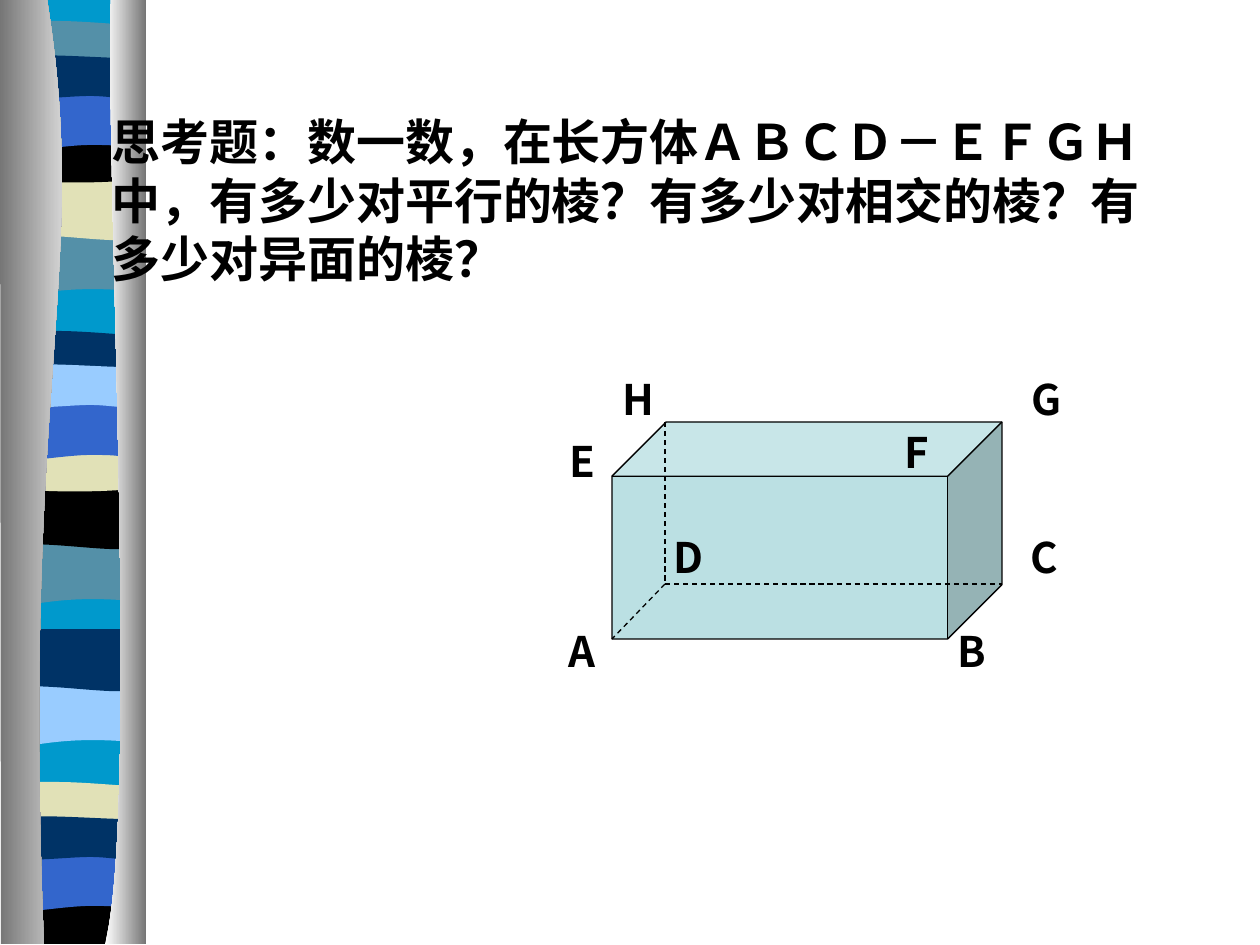
from lxml import etree
from pptx import Presentation
from pptx.dml.color import RGBColor
from pptx.enum.dml import MSO_LINE
from pptx.enum.shapes import MSO_CONNECTOR, MSO_SHAPE
from pptx.enum.text import MSO_ANCHOR, MSO_AUTO_SIZE, PP_ALIGN
from pptx.oxml.ns import qn
from pptx.util import Pt

PX = 914400 // 126
WIDTH, HEIGHT = 1260, 945
STRAIGHT, CUBE = MSO_CONNECTOR.STRAIGHT, MSO_SHAPE.CUBE
DASH = MSO_LINE.DASH
TOP, MIDDLE = MSO_ANCHOR.TOP, MSO_ANCHOR.MIDDLE
LEFT = PP_ALIGN.LEFT
NO_FIT = MSO_AUTO_SIZE.NONE

SKY, TEAL, SAND, BLACK = "0099CC", "5490A8", "E1E1B7", "000000"
BLUE, NAVY, PALE = "3366CC", "003366", "99CCFF"
WHITE, GREY, CUBE_FILL = "FFFFFF", "767676", "BBE0E3"
CJK_FONT, LATIN_FONT = "Noto Sans CJK SC", "Times New Roman"

# Band outlines: pairs are line ends, groups of six are Bézier curves
BAND_LEFT = 6
BANDS = {
    "slant": [(137, 0), (137, 59), (43, 49, 23, 69, 0, 59), (0, 0)],
    "wave": [(137, 0), (137, 59), (114, 69, 42, 52, 0, 59), (0, 0)],
    "thin": [(137, 6), (137, 36), (114, 42, 23, 42, 0, 36), (0, 6),
             (9, 0, 30, 1, 53, 1), (76, 1, 120, 5, 137, 6)],
    "bowl": [(137, 0), (137, 42), (114, 48, 24, 48, 0, 42), (0, 0),
             (83, 6, 108, 0, 137, 0)],
    "arch": [(137, 0), (137, 59), (116, 52, 107, 52, 84, 52),
             (62, 52, 20, 59, 0, 59), (0, 0)],
    "wide": [(137, 6), (137, 44), (128, 50, 107, 44, 84, 44),
             (62, 44, 15, 50, 0, 44), (0, 6), (20, 0, 93, 6, 115, 6),
             (138, 6, 133, 6, 137, 6)],
    "base": [(137, 0), (137, 47), (2, 47), (0, 0), (83, 6, 108, 0, 137, 0)],
    "full": [(137, 0), (137, 942), (0, 942), (0, 0)],
}
RIBBON = [
    ("full", -1, SKY),
    ("slant", 233, TEAL), ("wave", 178, SAND), ("thin", 20, TEAL),
    ("bowl", 136, BLACK), ("arch", 93, BLUE), ("wide", 52, NAVY),
    ("slant", 543, TEAL), ("wave", 487, BLACK), ("thin", 330, NAVY),
    ("bowl", 445, SAND), ("arch", 403, BLUE), ("wide", 361, PALE),
    ("slant", 684, PALE), ("wave", 629, NAVY), ("thin", 781, SAND),
    ("base", 897, BLACK), ("arch", 854, BLUE), ("wide", 813, NAVY),
]
LEFT_PILLAR = [(47, -1), (91, 272, 21, 373, 44, 944), (1, 944), (0, -1)]
RIGHT_PILLAR = [(111, -1), (105, 158, 140, 814, 105, 944), (146, 944), (146, 0)]

# Box edges and the places of its corner letters
BOX_LEFT, BOX_TOP, BOX_WIDTH, BOX_HEIGHT = 612, 422, 390, 217
HIDDEN_CORNER = (665, 584)
VERTICES = {"A": (556, 619), "C": (1018, 525), "B": (945, 619),
            "D": (661, 525), "F": (892, 420), "E": (557, 429),
            "G": (1019, 367), "H": (610, 367)}


def color(value):
    return RGBColor.from_string(value)


def write_text(shape, text, size=24, font=CJK_FONT, fill=BLACK, bold=True, anchor=TOP):
    frame = shape.text_frame
    frame.word_wrap = True
    frame.auto_size = NO_FIT
    frame.vertical_anchor = anchor
    paragraph = frame.paragraphs[0]
    paragraph.alignment = LEFT
    run = paragraph.add_run()
    run.text = text
    run.font.size = Pt(size)
    run.font.name = font
    run.font.bold = bold
    run.font.color.rgb = color(fill)
    east_asian = etree.SubElement(run.font._element, qn("a:ea"))
    east_asian.set("typeface", CJK_FONT)


def bend_segments(shape, outline):
    """Join the three line ends of each Bézier group into one curve."""
    lines = iter(list(shape._element.iter(qn("a:lnTo"))))
    for segment in outline[1:]:
        line = next(lines)
        if len(segment) == 6:
            line.tag = qn("a:cubicBezTo")
            for _ in range(2):
                control = next(lines)
                line.append(control[0])
                control.getparent().remove(control)


class Painter:
    def __init__(self, slide):
        self.slide = slide
        self.line_width = Pt(0.75)

    def freeform(self, outline, fill, left=0, top=0):
        points = [((segment[i] + left) * PX, (segment[i + 1] + top) * PX)
                  for segment in outline for i in range(0, len(segment), 2)]
        builder = self.slide.shapes.build_freeform(*points[0])
        builder.add_line_segments(points[1:], close=True)
        shape = builder.convert_to_shape()
        bend_segments(shape, outline)
        shape.shadow.inherit = False
        shape.line.fill.background()
        if isinstance(fill, str):
            shape.fill.solid()
            shape.fill.fore_color.rgb = color(fill)
        else:
            shape.fill.gradient()
            shape.fill.gradient_angle = 0
            for stop, value in zip(shape.fill.gradient_stops, fill):
                stop.color.rgb = color(value)

    def cube(self, left, top, width, height, fill):
        shape = self.slide.shapes.add_shape(
            CUBE, left * PX, top * PX, width * PX, height * PX)
        shape.adjustments[0] = 0.25
        shape.shadow.inherit = False
        shape.fill.solid()
        shape.fill.fore_color.rgb = color(fill)
        shape.line.color.rgb = color(BLACK)
        shape.line.width = self.line_width

    def dashed_line(self, start, end):
        line = self.slide.shapes.add_connector(
            STRAIGHT, *(value * PX for value in (*start, *end)))
        line.line.color.rgb = color(BLACK)
        line.line.width = self.line_width
        line.line.dash_style = DASH
        etree.SubElement(line._element.spPr, qn("a:effectLst"))

    def label(self, text, left, top):
        box = self.slide.shapes.add_textbox(left * PX, top * PX, 94 * PX, 91 * PX)
        write_text(box, text)

    def title(self, text, left, top, width, height):
        title = self.slide.shapes.title
        title.left, title.top = left * PX, top * PX
        title.width, title.height = width * PX, height * PX
        write_text(title, text, size=28, font=LATIN_FONT, anchor=MIDDLE)
        # Keep the title in front of the ribbon
        self.slide.shapes._spTree.append(title._element)


def main():
    presentation = Presentation()
    presentation.slide_width, presentation.slide_height = WIDTH * PX, HEIGHT * PX
    slide = presentation.slides.add_slide(presentation.slide_layouts[5])
    painter = Painter(slide)

    # Striped ribbon between two grey pillars
    for band, top, fill in RIBBON:
        painter.freeform(BANDS[band], fill, left=BAND_LEFT, top=top)
    painter.freeform(LEFT_PILLAR, (GREY, WHITE))
    painter.freeform(RIGHT_PILLAR, (WHITE, GREY))

    # Box with its hidden edges
    painter.cube(BOX_LEFT, BOX_TOP, BOX_WIDTH, BOX_HEIGHT, CUBE_FILL)
    hidden_x, hidden_y = HIDDEN_CORNER
    painter.dashed_line((hidden_x, BOX_TOP), HIDDEN_CORNER)
    painter.dashed_line(HIDDEN_CORNER, (BOX_LEFT + BOX_WIDTH, hidden_y))
    painter.dashed_line(HIDDEN_CORNER, (BOX_LEFT, BOX_TOP + BOX_HEIGHT))

    # Corner letters and question
    for letter, (left, top) in VERTICES.items():
        painter.label(letter, left, top)
    painter.title("思考题：数一数，在长方体ＡＢＣＤ－ＥＦＧＨ中，有多少对平行的棱？"
                  "有多少对相交的棱？有多少对异面的棱？", 99, 105, 1076, 189)
    presentation.save("out.pptx")


if __name__ == "__main__":
    main()
